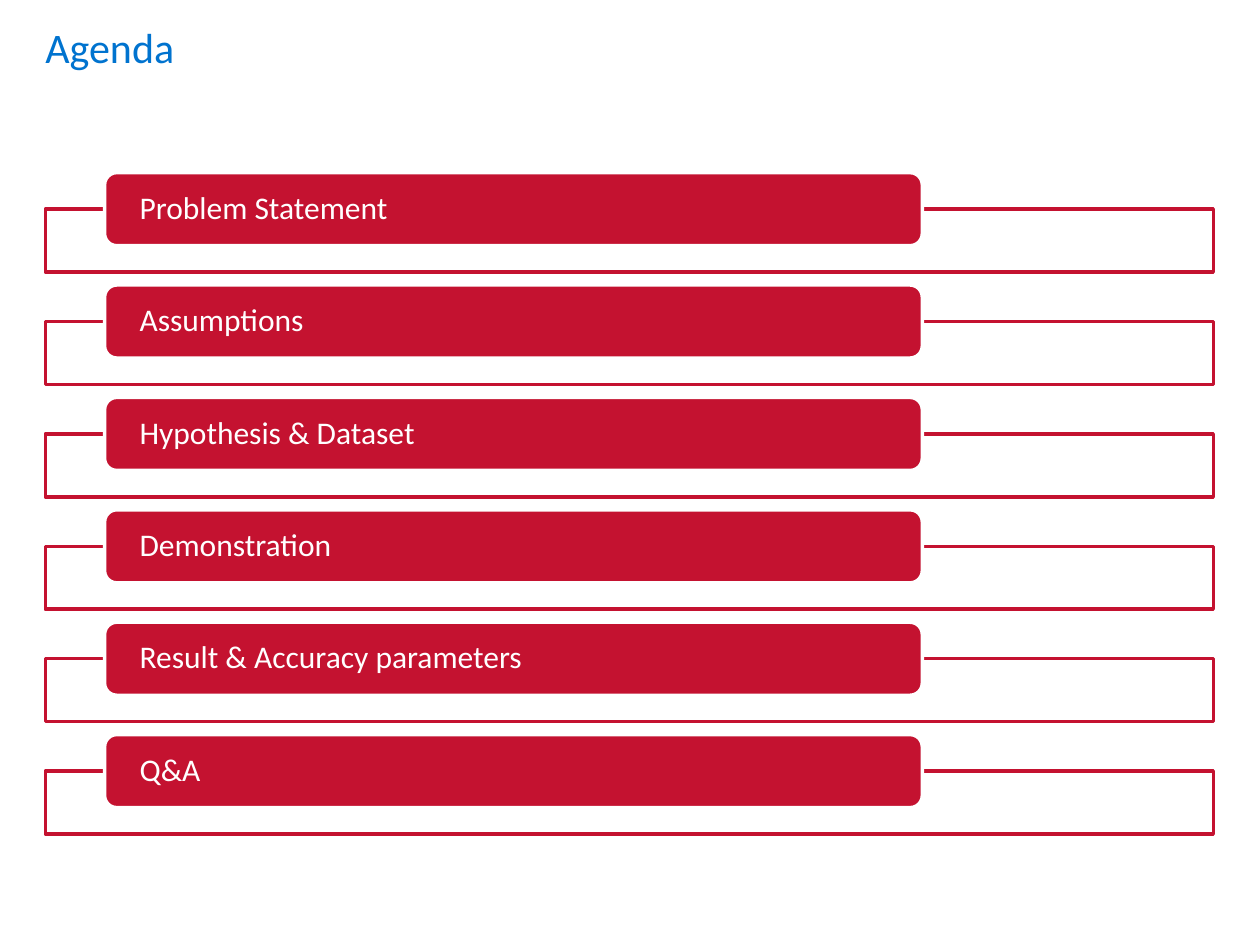
from dataclasses import dataclass

from lxml.etree import SubElement
from pptx import Presentation
from pptx.dml.color import RGBColor
from pptx.enum.shapes import MSO_SHAPE as Preset
from pptx.enum.text import MSO_ANCHOR as Anchor, PP_ALIGN as Align
from pptx.oxml.ns import qn
from pptx.shapes.autoshape import Shape
from pptx.shapes.shapetree import GroupShapes
from pptx.text.text import TextFrame
from pptx.util import Inches, Pt


@dataclass(frozen=True)
class Theme:
    font: str = "Calibri"
    blue: RGBColor = RGBColor(0x00, 0x73, 0xCF)
    red: RGBColor = RGBColor(0xC4, 0x12, 0x30)
    white: RGBColor = RGBColor(0xFF, 0xFF, 0xFF)
    title_size: Pt = Pt(24)
    item_size: Pt = Pt(18)
    line_width: Pt = Pt(2)


@dataclass(frozen=True)
class Box:
    left: float
    top: float
    width: float
    height: float

    def lengths(self) -> tuple[Inches, ...]:
        return tuple(map(Inches, (self.left, self.top, self.width, self.height)))


@dataclass(frozen=True)
class AgendaItem:
    text: str
    top: float

    @property
    def bar(self) -> Box:
        return Box(0.83, self.top, 6.49, 0.58)

    @property
    def frame(self) -> Box:
        return Box(0.36, self.top + self.bar.height / 2, 9.27, 0.5)


THEME = Theme()
FIRST_TOP, LAST_TOP = 1.37, 5.83
TOPICS = ("Problem Statement", "Assumptions", "Hypothesis & Dataset",
          "Demonstration", "Result & Accuracy parameters", "Q&A")
PITCH = (LAST_TOP - FIRST_TOP) / (len(TOPICS) - 1)
ITEMS = [AgendaItem(text, FIRST_TOP + row * PITCH) for row, text in enumerate(TOPICS)]


def apply(target: object, values: dict[str, object]) -> None:
    for name, value in values.items():
        setattr(target, name, value)


def write(text_frame: TextFrame, text: str, size: Pt, color: RGBColor,
          frame_format: dict[str, object], paragraph_format: dict[str, object]) -> None:
    apply(text_frame, {"word_wrap": True, **frame_format})
    paragraph = text_frame.paragraphs[0]
    apply(paragraph, {"alignment": Align.LEFT, **paragraph_format})
    run = paragraph.add_run()
    run.text = text
    apply(run.font, {"name": THEME.font, "size": size, "bold": False})
    run.font.color.rgb = color


def add_box(shapes: GroupShapes, preset: Preset, box: Box,
            fill: RGBColor, line: RGBColor) -> Shape:
    shape = shapes.add_shape(preset, *box.lengths())
    shape.shadow.inherit = False
    shape.fill.solid()
    shape.fill.fore_color.rgb = fill
    shape.line.color.rgb = line
    shape.line.width = THEME.line_width
    return shape


def add_item(shapes: GroupShapes, item: AgendaItem) -> None:
    frame = add_box(shapes, Preset.RECTANGLE, item.frame, THEME.white, THEME.red)
    fill_color = frame.fill._xPr.find(qn("a:solidFill"))[0]
    SubElement(fill_color, qn("a:alpha")).set("val", "90000")
    bar = add_box(shapes, Preset.ROUNDED_RECTANGLE, item.bar, THEME.red, THEME.white)
    write(bar.text_frame, item.text, THEME.item_size, THEME.white,
          {"margin_left": Inches(0.25), "margin_right": Inches(0.25),
           "margin_top": 0, "margin_bottom": 0, "vertical_anchor": Anchor.MIDDLE},
          {"line_spacing": 0.9})


# Slide
presentation = Presentation()
apply(presentation, {"slide_width": Inches(10), "slide_height": Inches(7.5)})
slide = presentation.slides.add_slide(presentation.slide_layouts[5])

# Title
title = slide.shapes.title
apply(title, dict(zip(("left", "top", "width", "height"),
                      Box(0.36, 0.12, 9.27, 0.89).lengths())))
write(title.text_frame, "Agenda", THEME.title_size, THEME.blue,
      {"margin_left": 0, "margin_right": 0, "margin_top": Inches(0.05),
       "margin_bottom": Inches(0.05), "vertical_anchor": Anchor.TOP}, {})

# Agenda list
agenda = slide.shapes.add_group_shape()
for item in ITEMS:
    add_item(agenda.shapes, item)

presentation.save("out.pptx")
